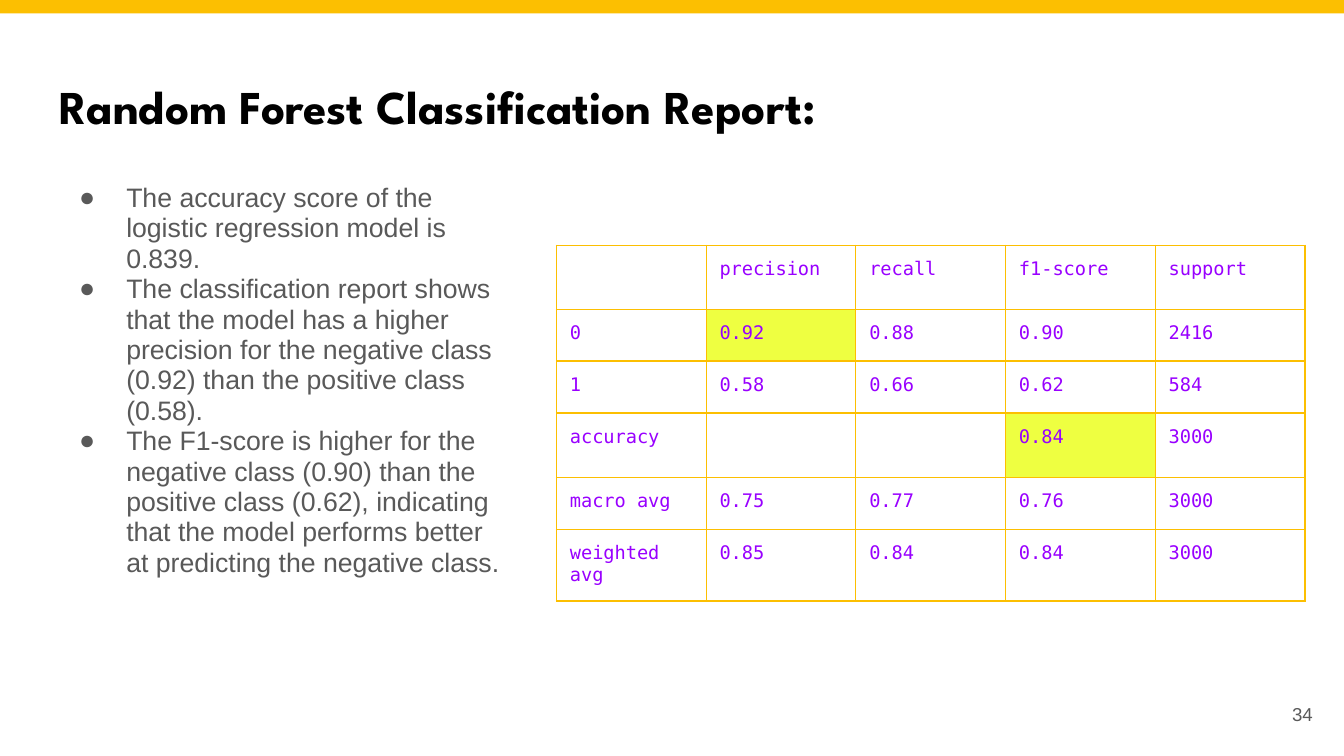
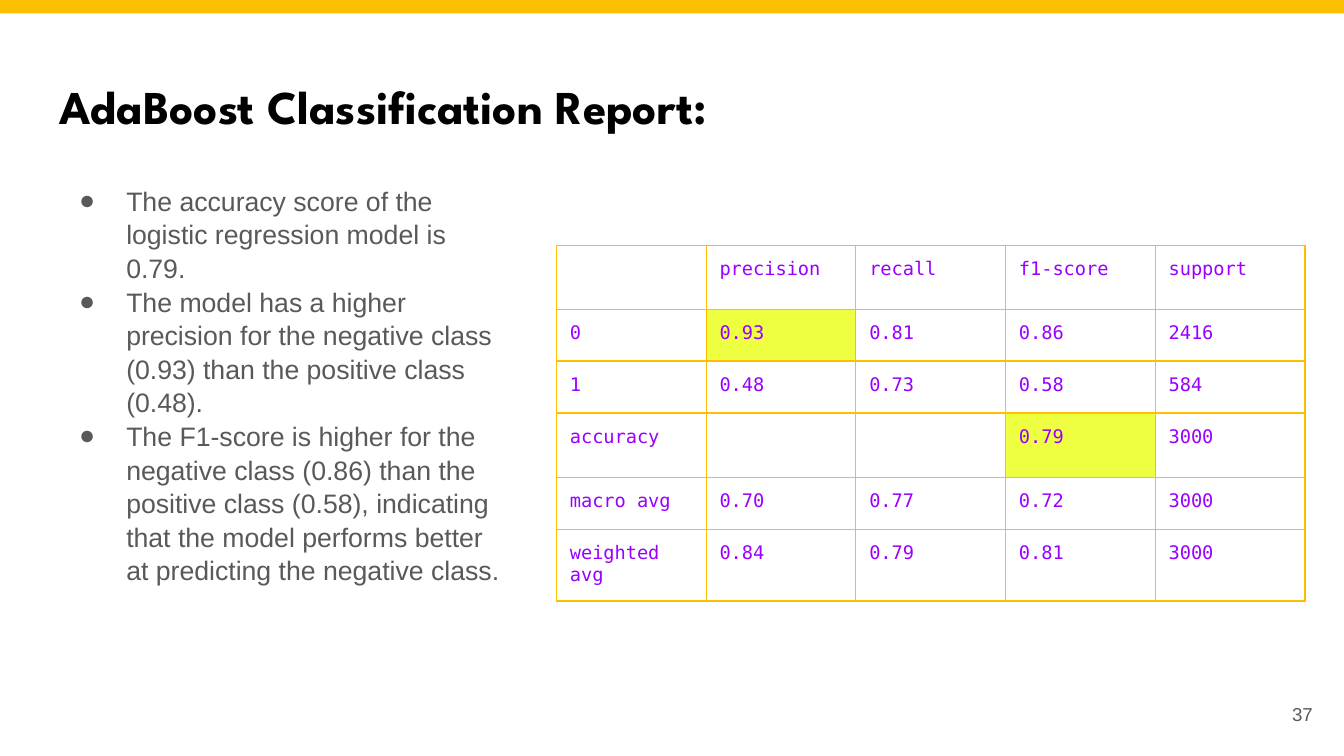
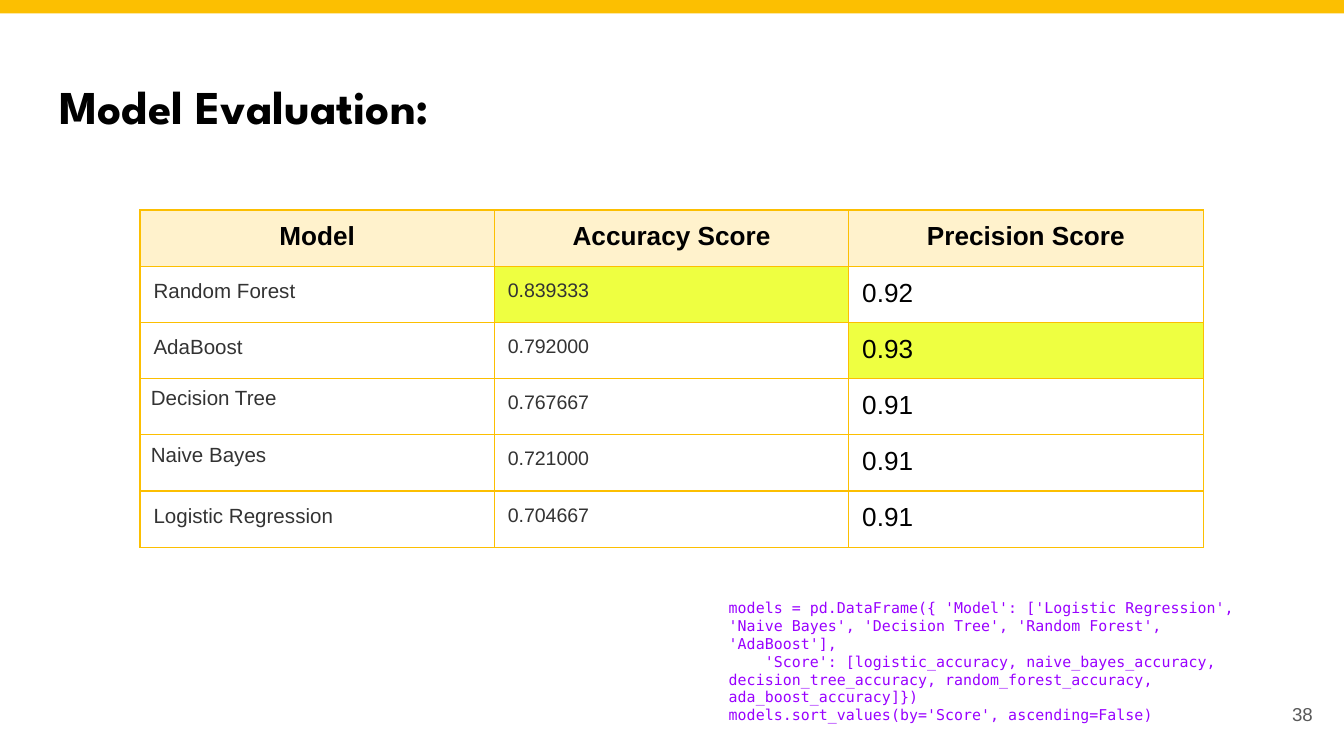
from dataclasses import dataclass

from lxml import etree
from pptx import Presentation
from pptx.dml.color import RGBColor
from pptx.enum.shapes import MSO_SHAPE as Shape
from pptx.enum.text import MSO_ANCHOR as Anchor, PP_ALIGN as Align
from pptx.oxml.ns import qn
from pptx.util import Inches, Pt

# Widescreen slide on a grid of 100 columns and square rows
SLIDE_WIDTH = Inches(10)
SLIDE_HEIGHT = SLIDE_WIDTH * 9 // 16
UNIT = SLIDE_WIDTH // 100

GOLD, CREAM, HIGHLIGHT = "FCBF01", "FFF2CC", "EEFF41"
BLACK, DARK, GREY, PURPLE = "000000", "333333", "595959", "9900FF"
SANS, MONO, DISPLAY = "Arial", "DejaVu Sans Mono", "League Spartan"


@dataclass(frozen=True)
class Style:
    font: str
    size: float
    color: str
    bold: bool = False
    align: Align = Align.LEFT
    spacing: float = 1.0
    margins: tuple = (1, 1)


TITLE = Style(DISPLAY, 25.2, BLACK, bold=True)
NUMBER = Style(SANS, 10, GREY, align=Align.RIGHT)
METRIC = Style(MONO, 10, PURPLE)
CODE = Style(MONO, 8, PURPLE)
HEADING = Style(SANS, 14, BLACK, bold=True, align=Align.CENTER, margins=(1, 0.9))
MODEL_NAME = Style(SANS, 11, DARK)
LOOSE_NAME = Style(SANS, 11, DARK, spacing=1.15, margins=(0.8, 0.4))
ACCURACY = Style(SANS, 10.5, DARK)
PRECISION = Style(SANS, 14, BLACK, margins=(1, 0.9))

# Boxes: left, top, width, height in grid units
BAND_BOX = (0, 0, 100, 1)
TITLE_BOX = (3.41, 4.8, 93.2, 6.3)
NUMBER_BOX = (92.66, 51, 6, 4.3)
BODY_BOX = (3.41, 12.62, 35.2, 37.4)
REPORT_BOX = (41.4, 18.24, 55.7, 26.5)
SCORES_BOX = (10.42, 15.63, 79.1, 25.1)
CODE_BOX = (53.24, 43.54, 42.3, 10.1)

METRICS = ["", "precision", "recall", "f1-score", "support"]
REPORT_ROWS = [4.76, 3.87, 3.87, 4.78, 3.87, 5.28]
REPORT_HIGHLIGHTS = {(1, 1), (3, 3)}


def rgb(color):
    return RGBColor.from_string(color)


def grid(*lengths):
    return [round(length * UNIT) for length in lengths]


def set_margins(target, horizontal, vertical):
    target.margin_left = target.margin_right = round(horizontal * UNIT)
    target.margin_top = target.margin_bottom = round(vertical * UNIT)


def write(paragraph, text, style):
    paragraph.alignment = style.align
    if style.spacing != 1:
        paragraph.line_spacing = style.spacing
    run = paragraph.add_run()
    run.text = text
    run.font.name = style.font
    run.font.size = Pt(style.size)
    run.font.bold = style.bold
    run.font.color.rgb = rgb(style.color)


def add_bullet(paragraph, style):
    properties = paragraph._p.get_or_add_pPr()
    properties.set("marL", str(Inches(0.5)))
    properties.set("indent", str(-Inches(0.35)))
    color = etree.SubElement(properties, qn("a:buClr"))
    etree.SubElement(color, qn("a:srgbClr")).set("val", style.color)
    size = etree.SubElement(properties, qn("a:buSzPts"))
    size.set("val", str(round(style.size * 100)))
    etree.SubElement(properties, qn("a:buFont")).set("typeface", style.font)
    etree.SubElement(properties, qn("a:buChar")).set("char", "●")


def add_text(slide, box, lines, style, anchor=Anchor.TOP, bulleted=False):
    frame = slide.shapes.add_textbox(*grid(*box)).text_frame
    frame.word_wrap = True
    frame.vertical_anchor = anchor
    set_margins(frame, *style.margins)
    for index, line in enumerate(lines):
        paragraph = frame.add_paragraph() if index else frame.paragraphs[0]
        if bulleted:
            add_bullet(paragraph, style)
        write(paragraph, line, style)


def add_borders(cell):
    properties = cell._tc.get_or_add_tcPr()
    for side in ("lnL", "lnR", "lnT", "lnB"):
        line = etree.SubElement(properties, qn(f"a:{side}"), w=str(Pt(0.75)))
        fill = etree.SubElement(line, qn("a:solidFill"))
        etree.SubElement(fill, qn("a:srgbClr")).set("val", GOLD)


def add_grid_table(slide, box, rows, row_heights, style_at, fills):
    columns = len(rows[0])
    table = slide.shapes.add_table(len(rows), columns, *grid(*box)).table
    table.first_row = table.horz_banding = False
    for column in table.columns:
        column.width = round(box[2] * UNIT / columns)
    for row, height in zip(table.rows, row_heights):
        row.height = round(height * UNIT)
    for r, values in enumerate(rows):
        for c, value in enumerate(values):
            cell = table.cell(r, c)
            add_borders(cell)
            if (r, c) in fills:
                cell.fill.solid()
                cell.fill.fore_color.rgb = rgb(fills[r, c])
            else:
                cell.fill.background()
            if value:
                style = style_at(r, c)
                set_margins(cell, *style.margins)
                write(cell.text_frame.paragraphs[0], value, style)
            else:
                set_margins(cell, 1, 0)


def add_base_slide(presentation, title, number):
    slide = presentation.slides.add_slide(presentation.slide_layouts[6])
    # Title, top band and page number
    add_text(slide, TITLE_BOX, [title], TITLE)
    band = slide.shapes.add_shape(Shape.RECTANGLE, *grid(*BAND_BOX))
    band.shadow.inherit = False
    band.fill.solid()
    band.fill.fore_color.rgb = rgb(GOLD)
    band.line.fill.background()
    add_text(slide, NUMBER_BOX, [str(number)], NUMBER, Anchor.MIDDLE)
    return slide


def add_report_slide(presentation, model, number, findings, spacing, scores):
    slide = add_base_slide(presentation, f"{model} Classification Report:", number)
    # Classification metrics
    fills = {position: HIGHLIGHT for position in REPORT_HIGHLIGHTS}
    add_grid_table(slide, REPORT_BOX, [METRICS, *scores], REPORT_ROWS,
                   lambda r, c: METRIC, fills)
    # Findings
    body = Style(SANS, 14.3, GREY, spacing=spacing)
    add_text(slide, BODY_BOX, findings, body, bulleted=True)


def score_style(r, c):
    if r == 0:
        return HEADING
    name = LOOSE_NAME if r in (3, 4) else MODEL_NAME
    return (name, ACCURACY, PRECISION)[c]


def add_evaluation_slide(presentation, number, scores, code):
    slide = add_base_slide(presentation, "Model Evaluation:", number)
    # Scores by model
    fills = {(0, c): CREAM for c in range(3)}
    fills.update({(1, 1): HIGHLIGHT, (2, 2): HIGHLIGHT})
    row_heights = [SCORES_BOX[3] / len(scores)] * len(scores)
    add_grid_table(slide, SCORES_BOX, scores, row_heights, score_style, fills)
    # Code listing
    add_text(slide, CODE_BOX, code, CODE)


def main():
    presentation = Presentation()
    presentation.slide_width = SLIDE_WIDTH
    presentation.slide_height = SLIDE_HEIGHT

    add_report_slide(
        presentation, "Random Forest", 34,
        ["The accuracy score of the logistic regression model is 0.839.",
         "The classification report shows that the model has a higher precision "
         "for the negative class (0.92) than the positive class (0.58).",
         "The F1-score is higher for the negative class (0.90) than the positive "
         "class (0.62), indicating that the model performs better at predicting "
         "the negative class."],
        0.95,
        [["0", "0.92", "0.88", "0.90", "2416"],
         ["1", "0.58", "0.66", "0.62", "584"],
         ["accuracy", "", "", "0.84", "3000"],
         ["macro avg", "0.75", "0.77", "0.76", "3000"],
         ["weighted avg", "0.85", "0.84", "0.84", "3000"]])

    add_report_slide(
        presentation, "AdaBoost", 37,
        ["The accuracy score of the logistic regression model is 0.79.",
         "The model has a higher precision for the negative class (0.93) than "
         "the positive class (0.48).",
         "The F1-score is higher for the negative class (0.86) than the positive "
         "class (0.58), indicating that the model performs better at predicting "
         "the negative class."],
        1.05,
        [["0", "0.93", "0.81", "0.86", "2416"],
         ["1", "0.48", "0.73", "0.58", "584"],
         ["accuracy", "", "", "0.79", "3000"],
         ["macro avg", "0.70", "0.77", "0.72", "3000"],
         ["weighted avg", "0.84", "0.79", "0.81", "3000"]])

    add_evaluation_slide(
        presentation, 38,
        [["Model", "Accuracy Score", "Precision Score"],
         ["Random Forest", "0.839333", "0.92"],
         ["AdaBoost", "0.792000", "0.93"],
         ["Decision Tree", "0.767667", "0.91"],
         ["Naive Bayes", "0.721000", "0.91"],
         ["Logistic Regression", "0.704667", "0.91"]],
        ["models = pd.DataFrame({ 'Model': ['Logistic Regression', 'Naive Bayes', "
         "'Decision Tree', 'Random Forest', 'AdaBoost'],",
         "    'Score': [logistic_accuracy, naive_bayes_accuracy, "
         "decision_tree_accuracy, random_forest_accuracy, ada_boost_accuracy]})",
         "models.sort_values(by='Score', ascending=False)"])

    presentation.save("out.pptx")


if __name__ == "__main__":
    main()
